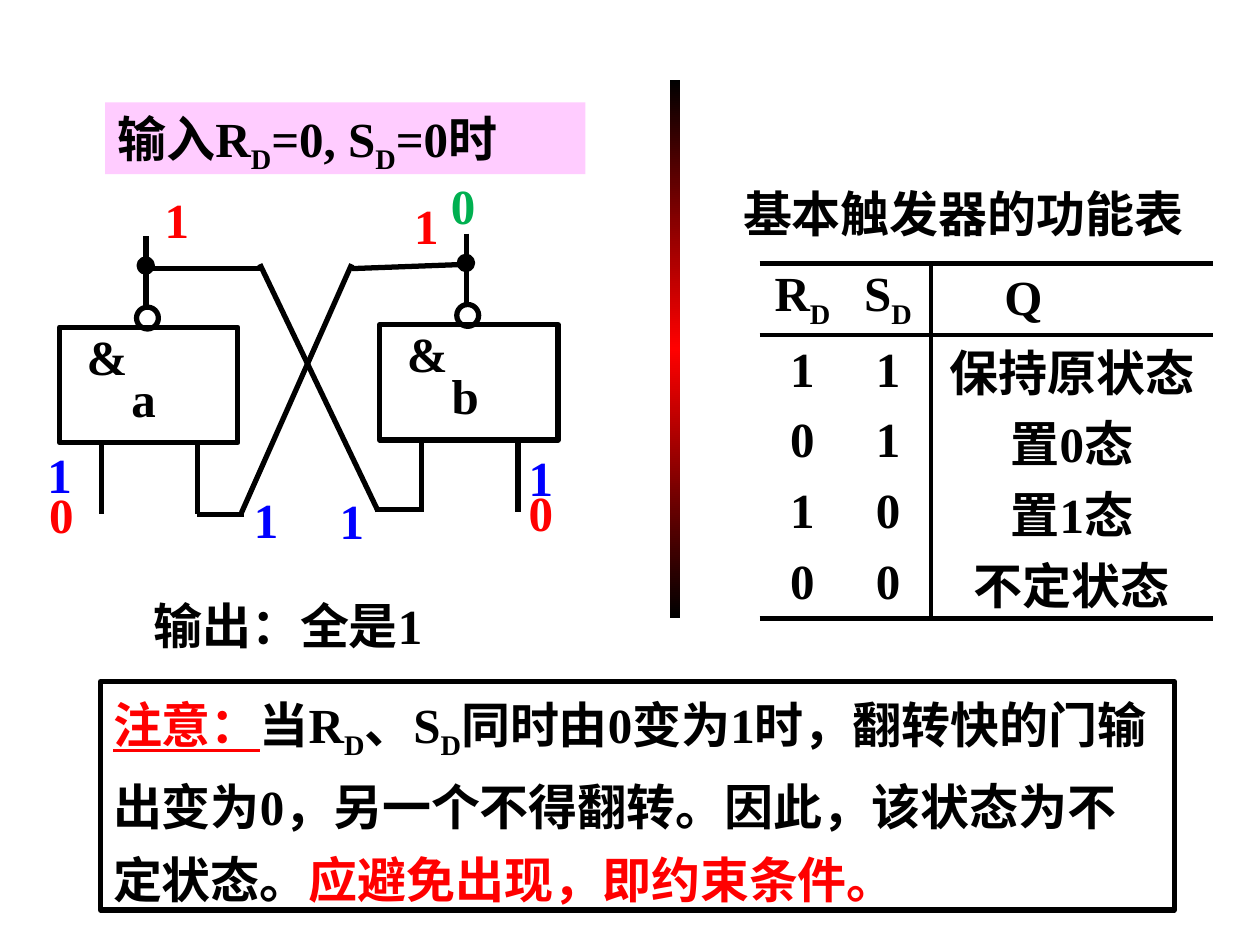
from copy import deepcopy
from dataclasses import dataclass

from lxml import etree
from pptx import Presentation
from pptx.dml.color import RGBColor
from pptx.enum.shapes import MSO_CONNECTOR, MSO_SHAPE
from pptx.enum.text import MSO_ANCHOR, MSO_AUTO_SIZE, PP_ALIGN
from pptx.oxml.ns import qn
from pptx.util import Pt

RECTANGLE, OVAL = MSO_SHAPE.RECTANGLE, MSO_SHAPE.OVAL
STRAIGHT = MSO_CONNECTOR.STRAIGHT
TOP, MIDDLE = MSO_ANCHOR.TOP, MSO_ANCHOR.MIDDLE
LEFT, CENTER = PP_ALIGN.LEFT, PP_ALIGN.CENTER
NO_FIT = MSO_AUTO_SIZE.NONE

BLACK = RGBColor(0x00, 0x00, 0x00)
RED = RGBColor(0xFF, 0x00, 0x00)
BLUE = RGBColor(0x00, 0x00, 0xFF)
GREEN = RGBColor(0x00, 0xB0, 0x50)
PINK = RGBColor(0xFF, 0xCC, 0xFF)

FONT, FONT_SIZE, LINE_WIDTH = "Times New Roman", 28, 3
TEXT_HEIGHT = 41


@dataclass(frozen=True)
class Span:
    text: str
    subscript: bool = False
    color: RGBColor | None = None
    underline: bool = False


@dataclass(frozen=True)
class Label:
    text: str
    left: float
    top: float
    width: float
    color: RGBColor = BLACK


@dataclass(frozen=True)
class Gate:
    name: str
    left: float
    top: float


SUB_D = Span("D", subscript=True)

HEADING = [Span("输入R"), SUB_D, Span("=0, S"), SUB_D, Span("=0时")]
NOTICE = [
    Span("注意：", color=RED, underline=True),
    Span("当R"), SUB_D, Span("、S"), SUB_D,
    Span("同时由0变为1时，翻转快的门输出变为0，另一个不得翻转。因此，该状态为不定状态。"),
    Span("应避免出现，即约束条件。", color=RED),
]
GATES = [Gate("a", 34, 187), Gate("b", 217, 185.5)]
WIRES = [
    (83, 153.5, 150, 153.5), (148.5, 151, 216, 292), (214.5, 291, 241, 291),
    (201, 153.5, 268.5, 151), (201, 151, 138, 293), (112.5, 294, 139.5, 294),
]
LABELS = [
    Label("0", 21, 273.5, 40, RED), Label("0", 295, 272, 40, RED),
    Label("1", 87, 105, 40, RED), Label("1", 229.5, 108, 40, RED),
    Label("1", 138, 276, 29, BLUE), Label("1", 187, 276.5, 29, BLUE),
    Label("1", 20, 250.5, 29, BLUE), Label("1", 295, 252, 29, BLUE),
    Label("0", 250.5, 96.5, 29, GREEN),
    Label("输出：全是1", 80.5, 337, 238),
    Label("基本触发器的功能表", 417.5, 101.5, 309),
]
TABLE_ROWS = [
    [[Span("R"), SUB_D], [Span("S"), SUB_D], [Span("Q")]],
    *[[[Span(text)] for text in row] for row in (
        ("1", "1", "保持原状态"),
        ("0", "1", "置0态"),
        ("1", "0", "置1态"),
        ("0", "0", "不定状态"),
    )],
]
COLUMN_WIDTHS = (49, 49, 161)
ROW_HEIGHTS = (41, 40.5, 40.5, 40.5, 40.5)


def write(para, spans: list[Span], color: RGBColor = BLACK, align=LEFT) -> None:
    para.alignment = align
    para.space_before = Pt(0)
    para.font.name, para.font.size, para.font.bold = FONT, Pt(FONT_SIZE), True
    para.font.color.rgb = color
    for item in spans:
        span = para.add_run()
        span.text = item.text
        if item.subscript:
            span._r.get_or_add_rPr().set("baseline", "-25000")
        if item.color is not None:
            span.font.color.rgb = item.color
        if item.underline:
            span.font.underline = True


def add_label(page, label: Label) -> None:
    box = page.shapes.add_textbox(Pt(label.left), Pt(label.top), Pt(label.width), Pt(TEXT_HEIGHT))
    box.text_frame.word_wrap = True
    write(box.text_frame.paragraphs[0], [Span(label.text)], label.color)


def add_outline(page, kind, left: float, top: float, width: float, height: float, filled: bool = False):
    shape = page.shapes.add_shape(kind, Pt(left), Pt(top), Pt(width), Pt(height))
    shape.shadow.inherit = False
    shape.line.color.rgb, shape.line.width = BLACK, Pt(LINE_WIDTH)
    if filled:
        shape.fill.solid()
        shape.fill.fore_color.rgb = BLACK
    else:
        shape.fill.background()
    return shape


def add_wire(page, x1: float, y1: float, x2: float, y2: float) -> None:
    wire = page.shapes.add_connector(STRAIGHT, Pt(x1), Pt(y1), Pt(x2), Pt(y2))
    wire.line.color.rgb, wire.line.width = BLACK, Pt(LINE_WIDTH)
    etree.SubElement(wire._element.spPr, qn("a:effectLst"))


def add_gate(page, gate: Gate) -> None:
    left, top = gate.left, gate.top
    add_outline(page, RECTANGLE, left, top, 102, 66)
    add_outline(page, OVAL, left + 44, top - 11.5, 12.5, 12.5)
    add_outline(page, OVAL, left + 45.5, top - 39, 7.5, 7.5, filled=True)
    add_wire(page, left + 49.5, top - 52, left + 49.5, top - 10)
    for offset in (24, 79):
        add_wire(page, left + offset, top + 65, left + offset, top + 107)
    add_label(page, Label("&", left + 8.5, top - 4, 72))
    add_label(page, Label(gate.name, left + 34, top + 20, 51))


def set_borders(cell, black_edges: set[str]) -> None:
    properties = cell._tc.get_or_add_tcPr()
    for index, edge in enumerate("LRTB"):
        line = etree.Element(qn(f"a:ln{edge}"), w=str(Pt(LINE_WIDTH)))
        if edge in black_edges:
            fill = etree.SubElement(line, qn("a:solidFill"))
            etree.SubElement(fill, qn("a:srgbClr"), val=str(BLACK))
        else:
            etree.SubElement(line, qn("a:noFill"))
        properties.insert(index, line)


def add_function_table(page) -> None:
    frame = page.shapes.add_table(
        len(TABLE_ROWS), len(COLUMN_WIDTHS), Pt(434), Pt(150.5),
        Pt(sum(COLUMN_WIDTHS)), Pt(sum(ROW_HEIGHTS)))
    table = frame.table
    table.first_row = table.horz_banding = False
    for column, width in zip(table.columns, COLUMN_WIDTHS):
        column.width = Pt(width)
    for r, row in enumerate(TABLE_ROWS):
        table.rows[r].height = Pt(ROW_HEIGHTS[r])
        for c, spans in enumerate(row):
            cell = table.cell(r, c)
            cell.margin_left = cell.margin_right = cell.margin_top = cell.margin_bottom = 0
            cell.vertical_anchor = MIDDLE
            cell.fill.background()
            is_q_heading = r == 0 and c == 2
            if is_q_heading:
                cell.margin_left = Pt(42)
            write(cell.text_frame.paragraphs[0], spans, align=LEFT if is_q_heading else CENTER)
            edges = {0: {"T", "B"}, 1: {"T"}, len(TABLE_ROWS) - 1: {"B"}}.get(r, set())
            set_borders(cell, edges | {1: {"R"}, 2: {"L"}}.get(c, set()))


def add_divider(page) -> None:
    bar = page.shapes.add_shape(RECTANGLE, Pt(383), Pt(45.5), Pt(5.5), Pt(307.5))
    bar.shadow.inherit = False
    bar.line.fill.background()
    bar.fill.gradient()
    bar.fill.gradient_angle = 90
    stop_list = bar._element.spPr.find(".//" + qn("a:gsLst"))
    stop_list.append(deepcopy(stop_list[0]))
    for stop, position, color in zip(bar.fill.gradient_stops, (0, 0.5, 1), (BLACK, RED, BLACK)):
        stop.position = position
        stop.color.rgb = color


def main() -> None:
    deck = Presentation()
    deck.slide_width, deck.slide_height = Pt(720), Pt(540)
    page = deck.slides.add_slide(deck.slide_layouts[5])

    # Heading
    title = page.shapes.title
    title.left, title.top, title.width, title.height = Pt(60), Pt(58.5), Pt(274.5), Pt(TEXT_HEIGHT)
    title.fill.solid()
    title.fill.fore_color.rgb = PINK
    title.text_frame.auto_size = NO_FIT
    title.text_frame.vertical_anchor = TOP
    write(title.text_frame.paragraphs[0], HEADING)

    # Cross-coupled gates with their signal values and captions
    for gate in GATES:
        add_gate(page, gate)
    for wire in WIRES:
        add_wire(page, *wire)
    for label in LABELS:
        add_label(page, label)

    # Divider and function table
    add_divider(page)
    add_function_table(page)

    # Notice
    notice = add_outline(page, RECTANGLE, 57.5, 389.5, 613.5, 130.5)
    notice.text_frame.word_wrap = True
    notice.text_frame.vertical_anchor = TOP
    para = notice.text_frame.paragraphs[0]
    write(para, NOTICE)
    para.line_spacing = Pt(42)

    deck.save("out.pptx")


if __name__ == "__main__":
    main()
